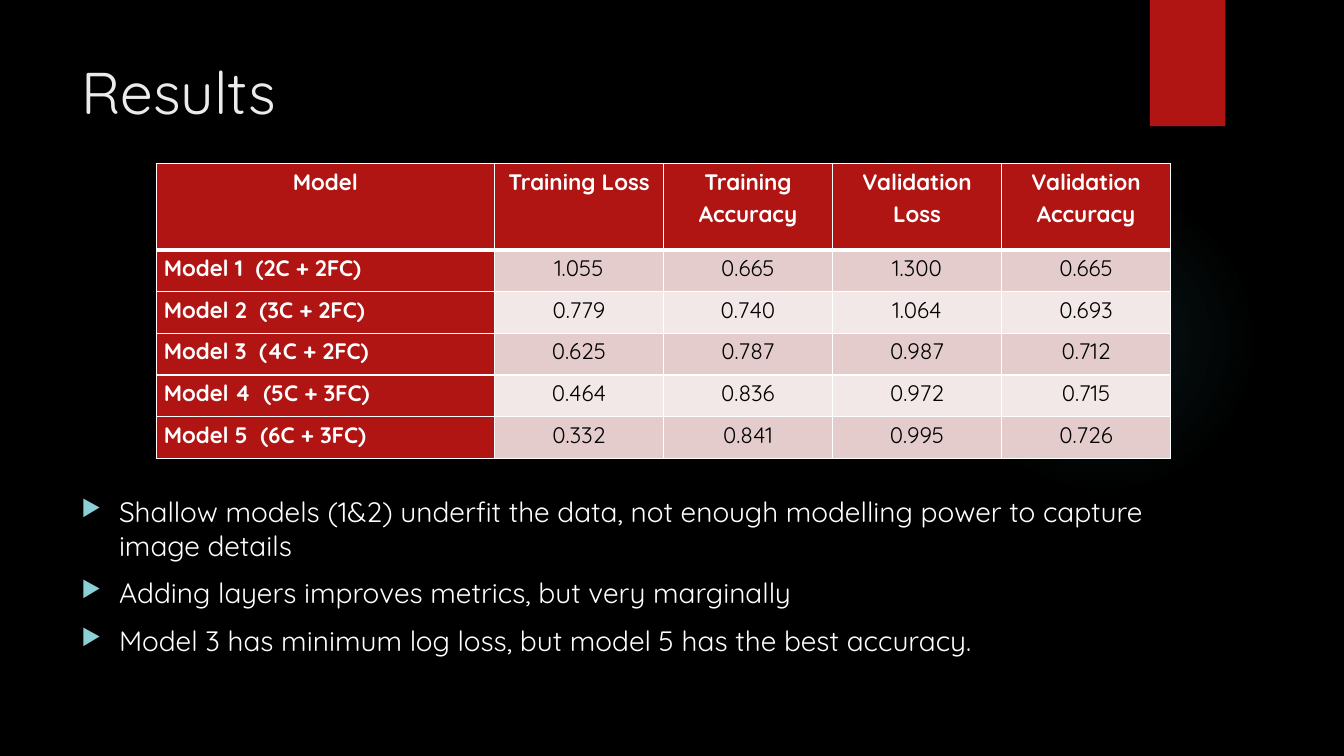
from dataclasses import dataclass
from typing import NamedTuple

from lxml import etree
from pptx import Presentation
from pptx import util as u
from pptx.dml.color import RGBColor
from pptx.enum import shapes, text
from pptx.oxml import parse_xml
from pptx.oxml.ns import nsdecls, qn


@dataclass(frozen=True)
class Theme:
    font: str = "Quicksand"
    background: str = "000000"
    accent: str = "B01513"
    glow: str = "50B9C1"
    title: str = "EBEBEB"
    body: str = "FFFFFF"
    bullet: str = "8AD0D6"
    value: str = "000000"
    border: str = "FFFFFF"
    bands: tuple[str, str] = ("E4CCCC", "F2E8E7")
    title_size: int = 42
    body_size: int = 20
    table_size: int = 16


class Box(NamedTuple):
    left: float
    top: float
    width: float
    height: float

    def lengths(self) -> tuple[u.Length, ...]:
        return tuple(u.Cm(value) for value in self)


class ModelResult(NamedTuple):
    model: str
    training_loss: str
    training_accuracy: str
    validation_loss: str
    validation_accuracy: str


THEME = Theme()
GLOW_BOX = Box(23.9, 4.65, 7.82, 7.82)
RIBBON_BOX = Box(28.98, 0, 1.9, 3.18)
TITLE_BOX = Box(1.8, 1.27, 26.14, 3.89)
TABLE_BOX = Box(3.94, 4.13, 25.56, 7.42)
BULLETS_BOX = Box(1.8, 12.34, 29.36, 5.46)
COLUMN_WIDTHS = (8.52, 4.26, 4.26, 4.26, 4.26)
HEADER_HEIGHT, ROW_HEIGHT = 2.17, 1.05
BULLET_INDENT = 0.95
THIN_BORDER, THICK_BORDER = 1, 3
GLOW_STOPS = ((0, 7), (36, 6), (69, 0))  # position and opacity, in percent

HEADER = ModelResult("Model", "Training Loss", "Training Accuracy",
                     "Validation Loss", "Validation Accuracy")
RESULTS = (
    ModelResult("Model 1  (2C + 2FC)", "1.055", "0.665", "1.300", "0.665"),
    ModelResult("Model 2  (3C + 2FC)", "0.779", "0.740", "1.064", "0.693"),
    ModelResult("Model 3  (4C + 2FC)", "0.625", "0.787", "0.987", "0.712"),
    ModelResult("Model 4  (5C + 3FC)", "0.464", "0.836", "0.972", "0.715"),
    ModelResult("Model 5  (6C + 3FC)", "0.332", "0.841", "0.995", "0.726"),
)
FINDINGS = (
    "Shallow models (1&2) underfit the data, not enough modelling power to capture image details",
    "Adding layers improves metrics, but very marginally",
    "Model 3 has minimum log loss, but model 5 has the best accuracy.",
)


def format_runs(paragraph, size: int, color: str, bold: bool = False) -> None:
    for run in paragraph.runs:
        run.font.name = THEME.font
        run.font.size = u.Pt(size)
        run.font.bold = bold
        run.font.color.rgb = RGBColor.from_string(color)


def add_plain_shape(slide, kind: shapes.MSO_SHAPE, box: Box, color: str):
    shape = slide.shapes.add_shape(kind, *box.lengths())
    shape.shadow.inherit = False
    shape.fill.solid()
    shape.fill.fore_color.rgb = RGBColor.from_string(color)
    shape.line.fill.background()
    return shape


def add_glow(slide) -> None:
    """Add the faint circle that fades out from its centre."""
    glow = add_plain_shape(slide, shapes.MSO_SHAPE.OVAL, GLOW_BOX, THEME.glow)
    stops = "".join(
        f'<a:gs pos="{position * 1000}"><a:srgbClr val="{THEME.glow}">'
        f'<a:alpha val="{opacity * 1000}"/></a:srgbClr></a:gs>'
        for position, opacity in GLOW_STOPS
    )
    gradient = parse_xml(
        f'<a:gradFill {nsdecls("a")} rotWithShape="1"><a:gsLst>{stops}</a:gsLst>'
        '<a:path path="circle"><a:fillToRect l="50000" t="50000" r="50000" b="50000"/>'
        "</a:path></a:gradFill>"
    )
    properties = glow.fill._xPr
    properties.replace(properties.find(qn("a:solidFill")), gradient)


def add_text_frame(slide, box: Box):
    frame = slide.shapes.add_textbox(*box.lengths()).text_frame
    frame.word_wrap = True
    return frame


def add_title(slide) -> None:
    frame = add_text_frame(slide, TITLE_BOX)
    frame.text = "Results"
    format_runs(frame.paragraphs[0], THEME.title_size, THEME.title)


def set_borders(cell, top: int, bottom: int) -> None:
    properties = cell._tc.get_or_add_tcPr()
    widths = {"lnL": THIN_BORDER, "lnR": THIN_BORDER, "lnT": top, "lnB": bottom}
    for side, width in widths.items():
        line = etree.SubElement(properties, qn(f"a:{side}"), w=str(u.Pt(width)))
        fill = etree.SubElement(line, qn("a:solidFill"))
        etree.SubElement(fill, qn("a:srgbClr"), val=THEME.border)


def fill_cell(cell, content: str, row: int, column: int) -> None:
    is_label = row == 0 or column == 0
    set_borders(cell,
                top=THICK_BORDER if row == 1 else THIN_BORDER,
                bottom=THICK_BORDER if row == 0 else THIN_BORDER)
    cell.fill.solid()
    color = THEME.accent if is_label else THEME.bands[(row - 1) % 2]
    cell.fill.fore_color.rgb = RGBColor.from_string(color)
    cell.margin_left = cell.margin_right = u.Cm(0.19)
    cell.margin_top = cell.margin_bottom = u.Cm(0)
    cell.text_frame.text = content
    paragraph = cell.text_frame.paragraphs[0]
    paragraph.line_spacing = 1.15
    left_aligned = row > 0 and column == 0
    paragraph.alignment = text.PP_ALIGN.LEFT if left_aligned else text.PP_ALIGN.CENTER
    format_runs(paragraph, THEME.table_size,
                THEME.body if is_label else THEME.value, bold=is_label)


def add_results_table(slide) -> None:
    rows = (HEADER, *RESULTS)
    table = slide.shapes.add_table(len(rows), len(HEADER), *TABLE_BOX.lengths()).table
    table.horz_banding = False
    for column, width in zip(table.columns, COLUMN_WIDTHS):
        column.width = u.Cm(width)
    for row_index, result in enumerate(rows):
        table.rows[row_index].height = u.Cm(ROW_HEIGHT if row_index else HEADER_HEIGHT)
        for column_index, content in enumerate(result):
            fill_cell(table.cell(row_index, column_index), content, row_index, column_index)


def set_bullet(paragraph) -> None:
    properties = paragraph._p.get_or_add_pPr()
    indent = u.Cm(BULLET_INDENT)
    properties.set("marL", str(indent))
    properties.set("indent", str(-indent))
    color = etree.SubElement(properties, qn("a:buClr"))
    etree.SubElement(color, qn("a:srgbClr"), val=THEME.bullet)
    etree.SubElement(properties, qn("a:buSzPct"), val="80000")
    etree.SubElement(properties, qn("a:buChar"), char="▶")


def add_findings(slide) -> None:
    frame = add_text_frame(slide, BULLETS_BOX)
    frame.text = "\n".join(FINDINGS)
    for paragraph in frame.paragraphs:
        paragraph.space_before = u.Pt(10)
        set_bullet(paragraph)
        format_runs(paragraph, THEME.body_size, THEME.body)


def main() -> None:
    presentation = Presentation()
    presentation.slide_width, presentation.slide_height = u.Cm(33.87), u.Cm(19.05)
    slide = presentation.slides.add_slide(presentation.slide_layouts[6])
    slide.background.fill.solid()
    slide.background.fill.fore_color.rgb = RGBColor.from_string(THEME.background)
    add_glow(slide)
    add_plain_shape(slide, shapes.MSO_SHAPE.RECTANGLE, RIBBON_BOX, THEME.accent)
    add_title(slide)
    add_results_table(slide)
    add_findings(slide)
    presentation.save("out.pptx")


if __name__ == "__main__":
    main()
